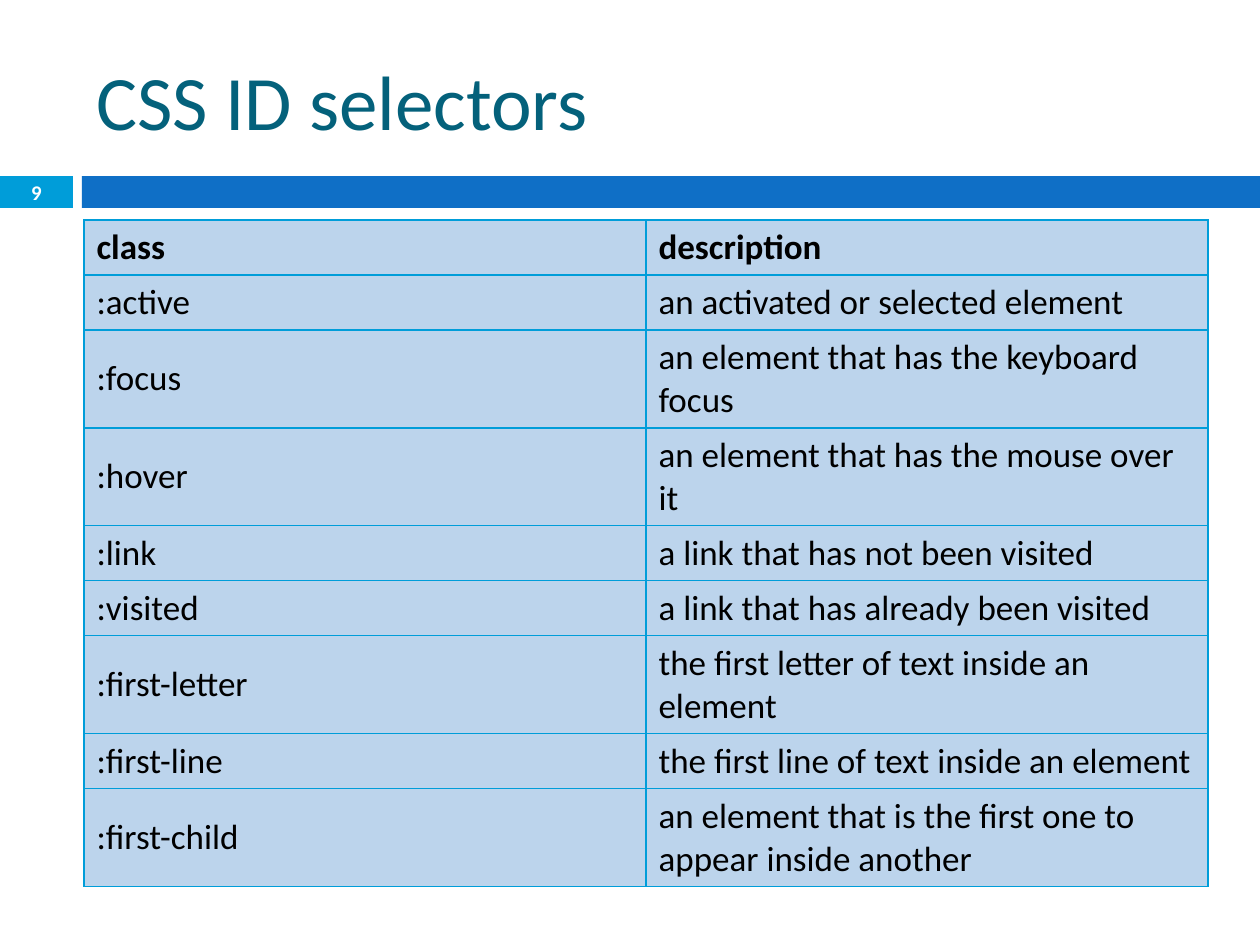
from typing import NamedTuple

from lxml.etree import SubElement
from pptx import Presentation
from pptx.dml.color import RGBColor
from pptx.enum.shapes import MSO_SHAPE as Kind
from pptx.enum.text import MSO_ANCHOR as Anchor, PP_ALIGN as Align
from pptx.oxml import parse_xml
from pptx.oxml.ns import nsdecls, qn
from pptx.util import Emu, Pt

SCALE = 914400 / 126
LINE, BLUE, CELL = "009DD9", "0F6FC6", "BCD4EC"
BASE = {"name": "Calibri", "size": Pt(20), "bold": False}
ROW, TALL = 55, 98


class Box(NamedTuple):
    left: int
    top: int
    width: int
    height: int


class Bar(NamedTuple):
    box: Box
    fill: str


class Label(NamedTuple):
    box: Box
    text: str
    color: str
    align: Align
    style: dict


class Row(NamedTuple):
    name: str
    note: str
    height: int = ROW


BARS = [
    Bar(Box(0, 176, 73, 32), LINE),
    Bar(Box(82, 176, 1178, 32), BLUE),
]
LABELS = [
    Label(Box(84, 32, 1124, 136), "CSS ID selectors", "04617B", Align.LEFT,
          {"size": Pt(44)}),
    Label(Box(0, 175, 73, 34), "9", "FFFFFF", Align.CENTER,
          {"size": Pt(11.9), "bold": True}),
]
ROWS = [
    Row("class", "description"),
    Row(":active", "an activated or selected element"),
    Row(":focus", "an element that has the keyboard focus", TALL),
    Row(":hover", "an element that has the mouse over it", TALL),
    Row(":link", "a link that has not been visited"),
    Row(":visited", "a link that has already been visited"),
    Row(":first-letter", "the first letter of text inside an element", TALL),
    Row(":first-line", "the first line of text inside an element"),
    Row(":first-child",
        "an element that is the first one to appear inside another", TALL),
]


def px(n: int) -> Emu:
    return Emu(round(n * SCALE))


def place(box: Box) -> list[Emu]:
    return [px(n) for n in box]


def rgb(code: str) -> RGBColor:
    return RGBColor.from_string(code)


def paint(item, code: str) -> None:
    item.fill.solid()
    item.fill.fore_color.rgb = rgb(code)


def write(frame, text: str, color: str, style: dict) -> None:
    run = frame.paragraphs[0].add_run()
    run.text = text
    for key, value in (BASE | style).items():
        setattr(run.font, key, value)
    run.font.color.rgb = rgb(color)


def draw_bar(slide, bar: Bar) -> None:
    shape = slide.shapes.add_shape(Kind.RECTANGLE, *place(bar.box))
    shape.shadow.inherit = False
    shape.line.fill.background()
    paint(shape, bar.fill)


def draw_label(slide, label: Label) -> None:
    frame = slide.shapes.add_textbox(*place(label.box)).text_frame
    frame.word_wrap = True
    frame.vertical_anchor = Anchor.MIDDLE
    write(frame, label.text, label.color, label.style)
    frame.paragraphs[0].alignment = label.align


def edge(cell, code: str, width: Pt) -> None:
    props = cell._tc.get_or_add_tcPr()
    for i, side in enumerate("LRTB"):
        line = parse_xml(f'<a:ln{side} {nsdecls("a")} w="{width}"/>')
        fill = SubElement(line, qn("a:solidFill"))
        SubElement(fill, qn("a:srgbClr"), val=code)
        props.insert(i, line)


def draw_table(slide, rows: list[Row], box: Box) -> None:
    table = slide.shapes.add_table(len(rows), 2, *place(box)).table
    for i, row in enumerate(rows):
        table.rows[i].height = px(row.height)
        for j, text in enumerate((row.name, row.note)):
            cell = table.cell(i, j)
            cell.vertical_anchor = Anchor.MIDDLE
            paint(cell, CELL)
            edge(cell, LINE, Pt(0.79))
            write(cell.text_frame, text, "000000", {"bold": i == 0})


def main() -> None:
    """Build the selector slide and save it."""
    deck = Presentation()
    deck.slide_width, deck.slide_height = px(1260), px(945)
    slide = deck.slides.add_slide(deck.slide_layouts[6])
    for bar in BARS:
        draw_bar(slide, bar)
    for label in LABELS:
        draw_label(slide, label)
    draw_table(slide, ROWS, Box(84, 220, 1124, sum(r.height for r in ROWS)))
    deck.save("out.pptx")


if __name__ == "__main__":
    main()
